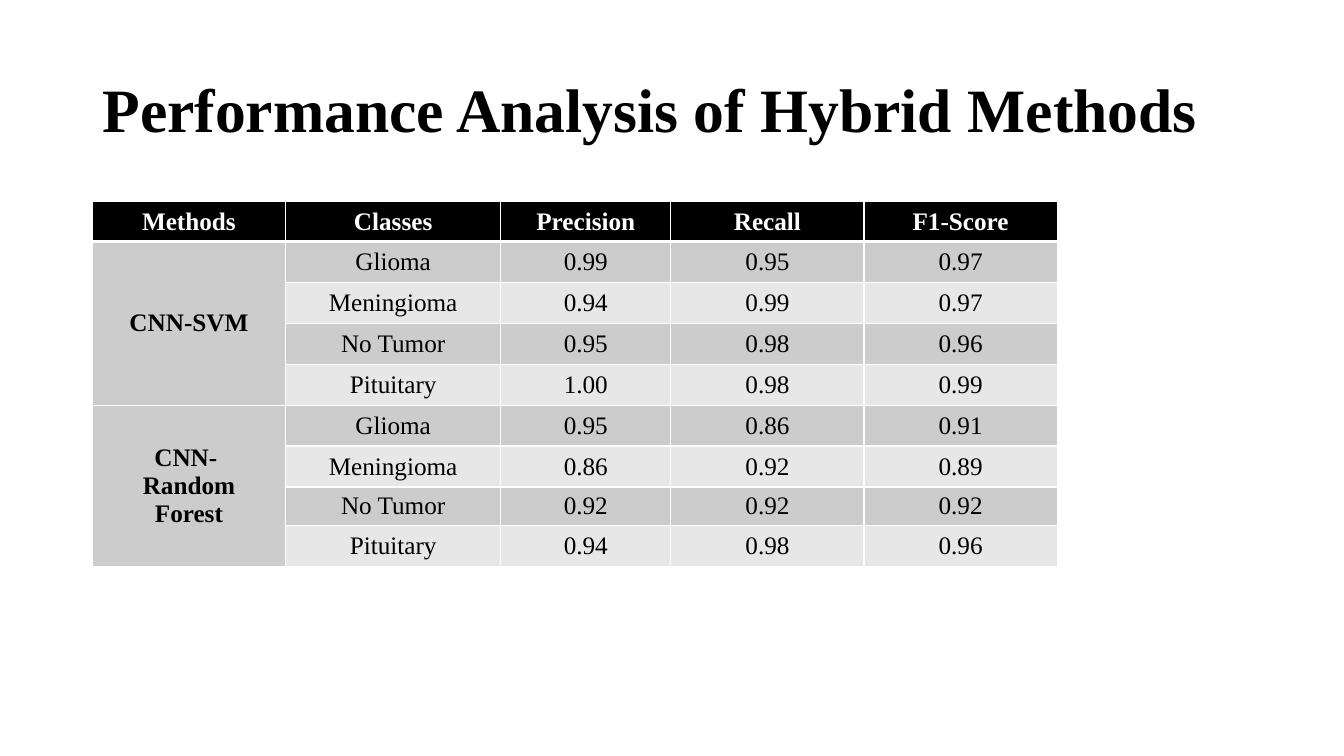
from pptx import Presentation
from pptx.dml.color import RGBColor
from pptx.enum.text import MSO_ANCHOR as Anchor, MSO_AUTO_SIZE as AutoSize, PP_ALIGN as Align
from pptx.oxml import parse_xml
from pptx.oxml.ns import nsdecls
from pptx.util import Emu, Pt

PX = 9525
BLACK, WHITE, DARK_BAND, LIGHT_BAND = "000000", "FFFFFF", "CCCCCC", "E7E7E7"

HEADINGS = ["Methods", "Classes", "Precision", "Recall", "F1-Score"]
CLASSES = ["Glioma", "Meningioma", "No Tumor", "Pituitary"]
RESULTS = [
    (["CNN-SVM"], [
        ("0.99", "0.95", "0.97"),
        ("0.94", "0.99", "0.97"),
        ("0.95", "0.98", "0.96"),
        ("1.00", "0.98", "0.99"),
    ]),
    (["CNN- ", "Random", "Forest"], [
        ("0.95", "0.86", "0.91"),
        ("0.86", "0.92", "0.89"),
        ("0.92", "0.92", "0.92"),
        ("0.94", "0.98", "0.96"),
    ]),
]
COLUMN_WIDTHS = [184, 205, 162, 184, 184]
ROW_HEIGHTS = [38] + [39] * 6 + [37, 39]


def px(length):
    """Turn whole pixels into EMU."""
    return Emu(length * PX)


def colour(code):
    """Turn a hex string into a colour."""
    return RGBColor.from_string(code)


class Deck:
    """Hold the presentation, its text style and the current slide."""

    def __init__(self, width, height, font):
        """Start a deck with one title-only slide."""
        self.font = font
        self.show = Presentation()
        self.show.slide_width, self.show.slide_height = px(width), px(height)
        self.slide = self.show.slides.add_slide(self.show.slide_layouts[5])

    def text(self, frame, lines, size, ink, bold, align):
        """Set each line as one paragraph with a single run."""
        for number, line in enumerate(lines):
            paragraph = frame.add_paragraph() if number else frame.paragraphs[0]
            paragraph.alignment = align
            run = paragraph.add_run()
            run.text = line
            run.font.name, run.font.size, run.font.bold = self.font, Pt(size), bold
            run.font.color.rgb = colour(ink)

    def title(self, text, left, top, width, height):
        """Place and format the title placeholder."""
        heading = self.slide.shapes.title
        heading.left, heading.top = px(left), px(top)
        heading.width, heading.height = px(width), px(height)
        frame = heading.text_frame
        frame.word_wrap, frame.auto_size = True, AutoSize.NONE
        frame.vertical_anchor = Anchor.MIDDLE
        self.text(frame, [text], 44, BLACK, True, Align.LEFT)
        frame.paragraphs[0].line_spacing = 0.9

    def table(self, left, top, widths, heights):
        """Add an empty table with the given column and row sizes."""
        grid = self.slide.shapes.add_table(
            len(heights), len(widths), px(left), px(top),
            px(sum(widths)), px(sum(heights))).table
        for column, width in zip(grid.columns, widths):
            column.width = px(width)
        for row, height in zip(grid.rows, heights):
            row.height = px(height)
        return grid

    def cell(self, cell, lines, fill, ink=BLACK, bold=False):
        """Fill a table cell and set its centred text."""
        cell.fill.solid()
        cell.fill.fore_color.rgb = colour(fill)
        cell.vertical_anchor = Anchor.MIDDLE
        self.text(cell.text_frame, lines, 18, ink, bold, Align.CENTER)

    def borders(self, grid):
        """Draw white cell borders, thicker below the header row."""
        for number, row in enumerate(grid.rows):
            weights = {"L": 1, "R": 1, "T": 3 if number == 1 else 1,
                       "B": 3 if number == 0 else 1}
            for cell in row.cells:
                properties = cell._tc.get_or_add_tcPr()
                for place, (side, weight) in enumerate(weights.items()):
                    properties.insert(place, parse_xml(
                        f'<a:ln{side} {nsdecls("a")} w="{Pt(weight)}"><a:solidFill>'
                        f'<a:srgbClr val="{WHITE}"/></a:solidFill></a:ln{side}>'))


def main():
    """Build the slide and save it."""
    deck = Deck(1280, 720, "Times New Roman")
    deck.title("Performance Analysis of Hybrid Methods", 88, 38, 1104, 139)
    scores = deck.table(88, 192, COLUMN_WIDTHS, ROW_HEIGHTS)
    for column, heading in enumerate(HEADINGS):
        deck.cell(scores.cell(0, column), [heading], BLACK, WHITE, True)
    for group, (method, results) in enumerate(RESULTS):
        first = 1 + group * len(CLASSES)
        scores.cell(first, 0).merge(scores.cell(first + len(CLASSES) - 1, 0))
        deck.cell(scores.cell(first, 0), method, DARK_BAND, bold=True)
        for offset, (tumor, values) in enumerate(zip(CLASSES, results)):
            band = LIGHT_BAND if offset % 2 else DARK_BAND
            for column, value in enumerate((tumor, *values), 1):
                deck.cell(scores.cell(first + offset, column), [value], band)
    deck.borders(scores)
    deck.show.save("out.pptx")


if __name__ == "__main__":
    main()
